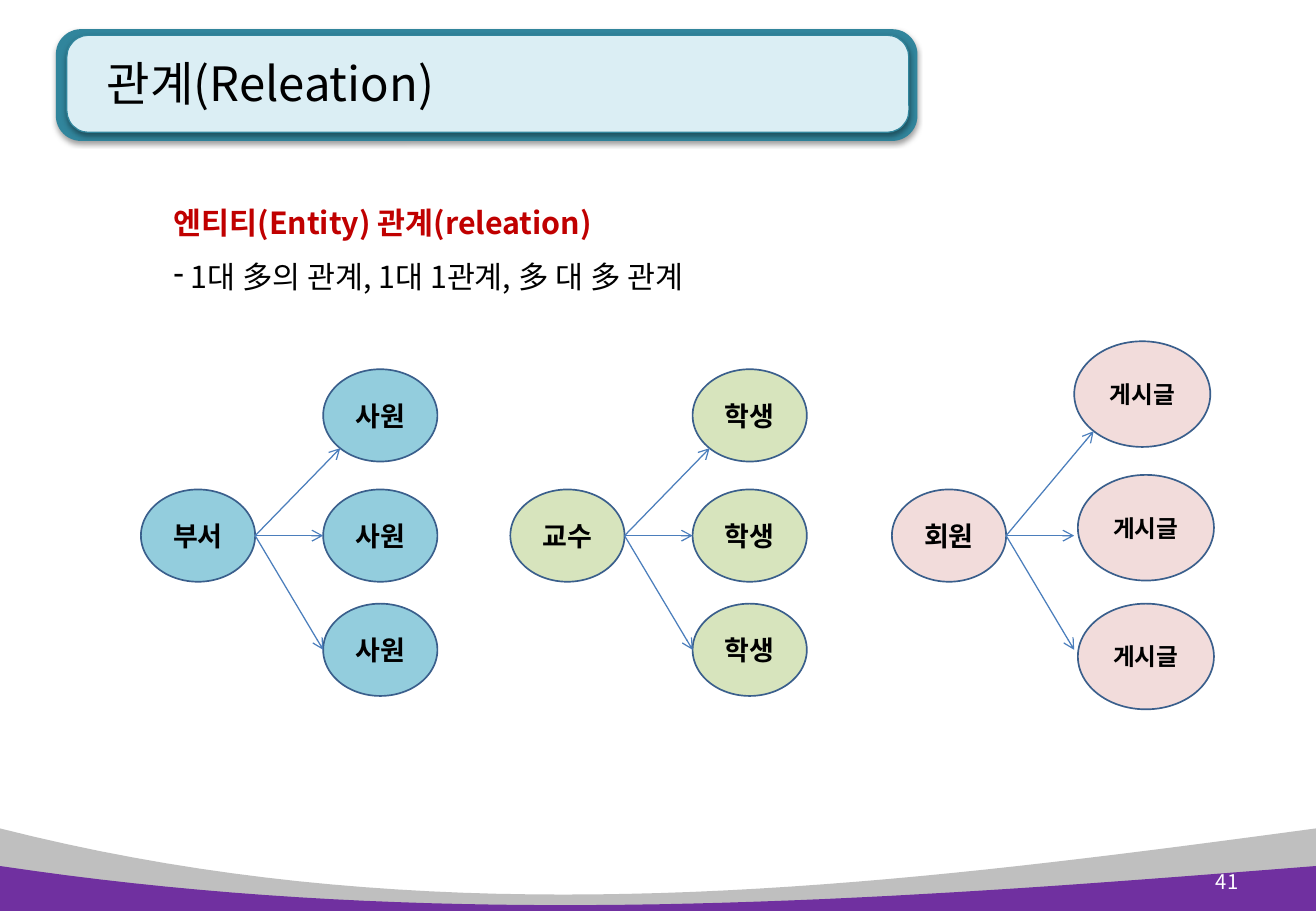
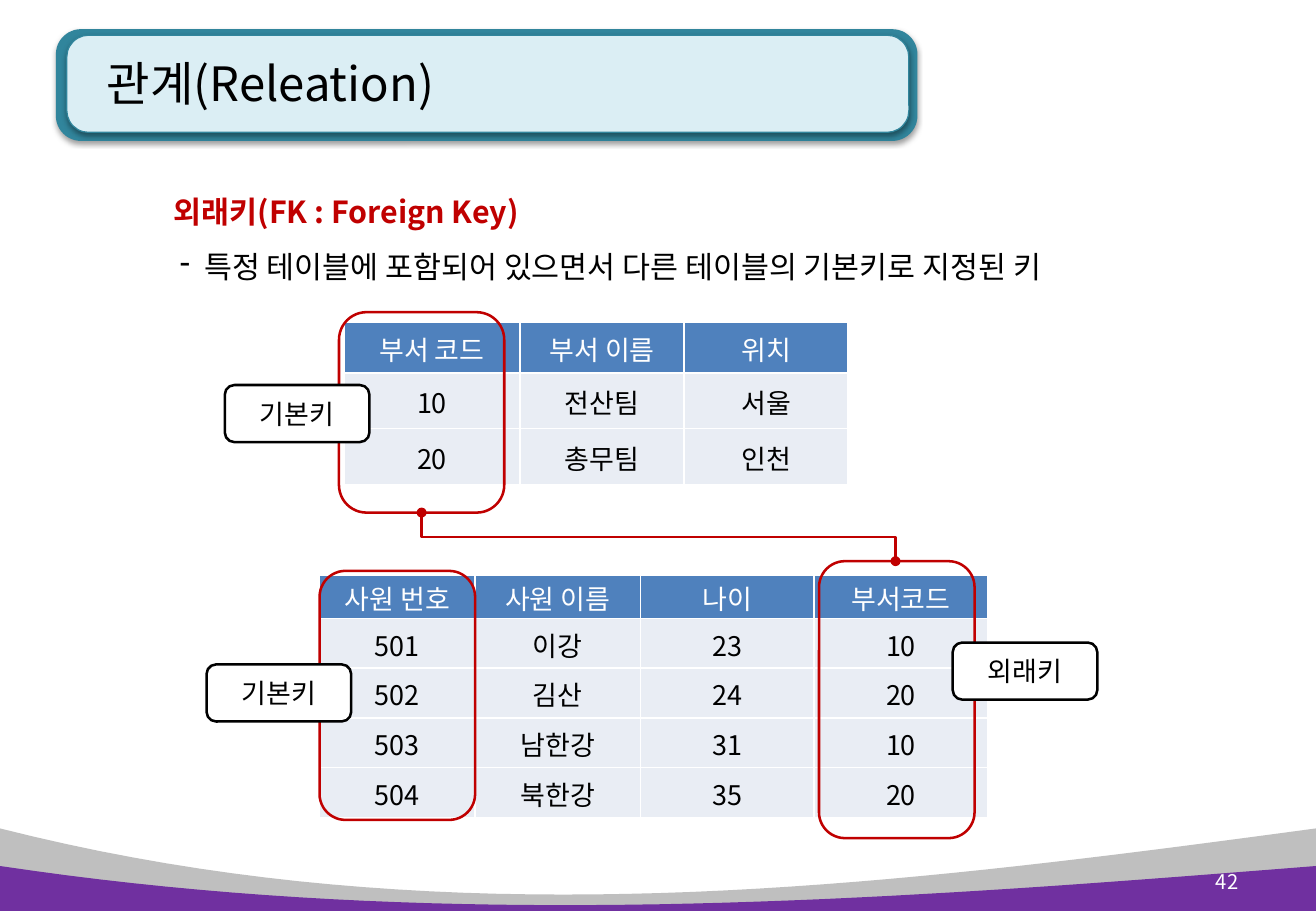
from dataclasses import dataclass

from lxml import etree
from pptx import Presentation
from pptx.dml.color import RGBColor
from pptx.enum.shapes import MSO_CONNECTOR, MSO_SHAPE
from pptx.enum.text import MSO_ANCHOR, PP_ALIGN
from pptx.oxml.ns import qn
from pptx.util import Emu, Pt

PX = 9144  # EMU per px, 100 px to the inch
WIDTH, HEIGHT = 1083, 750
ROUND, ELLIPSE = MSO_SHAPE.ROUNDED_RECTANGLE, MSO_SHAPE.OVAL
STRAIGHT, ELBOW = MSO_CONNECTOR.STRAIGHT, MSO_CONNECTOR.ELBOW
LEFT, CENTER, RIGHT = PP_ALIGN.LEFT, PP_ALIGN.CENTER, PP_ALIGN.RIGHT
TOP, MIDDLE = MSO_ANCHOR.TOP, MSO_ANCHOR.MIDDLE


@dataclass(frozen=True)
class Theme:
    font: str = "Noto Sans CJK KR"
    text: str = "000000"
    white: str = "FFFFFF"
    red: str = "C00000"
    teal: str = "31859C"
    pale_teal: str = "DBEEF4"
    gray: str = "BFBFBF"
    purple: str = "7030A0"
    blue: str = "93CDDD"
    green: str = "D7E4BD"
    pink: str = "F2DCDB"
    outline: str = "3A5F8C"
    arrow: str = "4B7EBC"
    header: str = "4F81BD"
    row: str = "E9EDF4"
    title_size: int = 28
    body_size: int = 18
    label_size: int = 16
    small_size: int = 14
    number_size: int = 12


THEME = Theme()


def px(value):
    return Emu(round(value * PX))


def rgb(color):
    return RGBColor.from_string(color)


def add_xml(parent, tag, **attributes):
    return etree.SubElement(parent, qn(tag), {k: str(v) for k, v in attributes.items()})


def write(para, text, size=THEME.label_size, color=THEME.text, bold=False,
          align=LEFT, spacing=None, dash=None):
    """Fill a paragraph; dash gives (dash position, text position) in px."""
    para.alignment = align
    if spacing:
        para.line_spacing = spacing
    if dash:
        start, hang = dash
        props = para._p.get_or_add_pPr()
        props.set("marL", str(px(hang)))
        props.set("indent", str(px(start - hang)))
        add_xml(props, "a:buChar", char="-")
    span = para.add_run()
    span.text = text
    span.font.size, span.font.bold = Pt(size), bold
    span.font.color.rgb = rgb(color)
    span.font.name = THEME.font
    add_xml(span._r.get_or_add_rPr(), "a:ea", typeface=THEME.font)


class Deck:
    def __init__(self):
        self.deck = Presentation()
        self.deck.slide_width, self.deck.slide_height = px(WIDTH), px(HEIGHT)
        self.page = None

    def new_page(self, title, number):
        """Start a slide with the shared waves, title band and page number."""
        self.page = self.deck.slides.add_slide(self.deck.slide_layouts[6])
        self.wave(682, 775, 731, THEME.gray)
        self.shape(ROUND, (46, 24, 709, 92), THEME.teal, radius=0.225, shadow=True)
        self.shape(ROUND, (55, 29, 693, 80), THEME.pale_teal, THEME.teal, 0.75,
                   radius=0.225, shadow=True)
        self.wave(713, 768, 742, THEME.purple)
        box = self.text_box((69, 21, 473, 94), inset=19, anchor=MIDDLE)
        write(box.paragraphs[0], title, size=THEME.title_size)
        box = self.text_box((968, 706, 61, 40), anchor=MIDDLE)
        write(box.paragraphs[0], str(number), size=THEME.number_size,
              color=THEME.white, align=RIGHT)

    def wave(self, edge, first_pull, second_pull, color, steps=40):
        """Footer wave: a cubic curve between two edges of equal height."""
        pulls = ((0, edge), (366, first_pull), (720, second_pull), (WIDTH, edge))
        points = []
        for step in range(steps + 1):
            t = step / steps
            weights = ((1 - t) ** 3, 3 * t * (1 - t) ** 2, 3 * t * t * (1 - t), t ** 3)
            points.append([px(sum(w * pull[axis] for w, pull in zip(weights, pulls)))
                           for axis in (0, 1)])
        corners = [(px(WIDTH), px(HEIGHT)), (0, px(HEIGHT))]
        builder = self.page.shapes.build_freeform(*points[0])
        builder.add_line_segments(points[1:] + corners, close=True)
        self.paint(builder.convert_to_shape(), color)

    def paint(self, shape, fill=None, line=None, weight=1):
        shape.shadow.inherit = False
        if fill:
            shape.fill.solid()
            shape.fill.fore_color.rgb = rgb(fill)
        else:
            shape.fill.background()
        if line:
            shape.line.color.rgb = rgb(line)
            shape.line.width = Pt(weight)
        else:
            shape.line.fill.background()

    def shape(self, kind, area, fill=None, line=None, weight=1, radius=None,
              shadow=False, label=None, **text_format):
        shape = self.page.shapes.add_shape(kind, *map(px, area))
        self.paint(shape, fill, line, weight)
        if radius:
            shape.adjustments[0] = radius
        if shadow:
            effects = shape.element.spPr.find(qn("a:effectLst"))
            outer = add_xml(effects, "a:outerShdw", blurRad=Pt(3.1), dist=Pt(1.6),
                            dir=5400000, rotWithShape=0)
            add_xml(add_xml(outer, "a:srgbClr", val="000000"), "a:alpha", val=38000)
        if label:
            frame = shape.text_frame
            frame.margin_left = frame.margin_right = 0
            frame.vertical_anchor = MIDDLE
            write(frame.paragraphs[0], label, align=CENTER, **text_format)
        return shape

    def text_box(self, area, inset=10, anchor=TOP):
        frame = self.page.shapes.add_textbox(*map(px, area)).text_frame
        frame.word_wrap = True
        frame.margin_left = px(inset)
        frame.vertical_anchor = anchor
        return frame

    def intro(self, area, heading, detail, dash):
        box = self.text_box(area, inset=27)
        write(box.paragraphs[0], heading, size=THEME.body_size, color=THEME.red,
              bold=True, spacing=1.5)
        write(box.add_paragraph(), detail, size=THEME.body_size, spacing=1.5, dash=dash)

    def connector(self, kind, start, end, color, weight, head=None, tail=None):
        line = self.page.shapes.add_connector(kind, *map(px, (*start, *end)))
        line.line.color.rgb = rgb(color)
        line.line.width = Pt(weight)
        outline = line.line._get_or_add_ln()
        for tag, mark in (("a:headEnd", head), ("a:tailEnd", tail)):
            if mark:
                add_xml(outline, tag, type=mark)
        add_xml(line.element.spPr, "a:effectLst")
        return line

    def key_link(self, start, end):
        """Elbow that leaves downwards: laid out on its side, then turned."""
        mid_x, mid_y = (start[0] + end[0]) // 2, (start[1] + end[1]) // 2
        half_x, half_y = (end[0] - start[0]) // 2, (end[1] - start[1]) // 2
        link = self.connector(ELBOW, (mid_x + half_y, mid_y - half_x),
                              (mid_x - half_y, mid_y + half_x),
                              THEME.red, 1.5, head="oval", tail="oval")
        link.element.spPr.find(qn("a:xfrm")).set("rot", "16200000")

    def table(self, left, top, widths, heights, rows):
        area = (left, top, sum(widths), sum(heights))
        table = self.page.shapes.add_table(len(rows), len(widths), *map(px, area)).table
        table.horz_banding = False
        for column, width in zip(table.columns, widths):
            column.width = px(width)
        for r, (height, values) in enumerate(zip(heights, rows)):
            table.rows[r].height = px(height)
            fill, color = ((THEME.row, THEME.text) if r
                           else (THEME.header, THEME.white))
            for c, value in enumerate(values):
                self.cell(table.cell(r, c), value, fill, color)

    def cell(self, cell, value, fill, color):
        cell.vertical_anchor = MIDDLE
        cell.margin_top, cell.margin_bottom = px(2), 0
        write(cell.text_frame.paragraphs[0], value, color=color, align=CENTER)
        props = cell._tc.get_or_add_tcPr()
        for side in ("a:lnL", "a:lnR", "a:lnT", "a:lnB"):
            border = add_xml(props, side, w=Pt(1))
            add_xml(add_xml(border, "a:solidFill"), "a:srgbClr", val=THEME.white)
        cell.fill.solid()
        cell.fill.fore_color.rgb = rgb(fill)

    def relation(self, left, hub, leaf, fill, size, leaves, label_size):
        """One hub ellipse with arrows to three leaf ellipses."""
        hub_width, hub_height, hub_top, reach = 94, 76, 403, 150
        node = {"fill": fill, "line": THEME.outline, "bold": True}
        self.shape(ELLIPSE, (left, hub_top, hub_width, hub_height), label=hub, **node)
        for shift, top in leaves:
            self.shape(ELLIPSE, (left + reach + shift, top, *size), label=leaf,
                       size=label_size, **node)
        # The first arrow meets the lower left of the top ellipse
        spoke, middle = left + reach, hub_top + hub_height // 2
        corner = (spoke + round(0.146 * size[0]), leaves[0][1] + round(0.854 * size[1]))
        for end in (corner, (spoke, middle), (spoke, 535)):
            self.connector(STRAIGHT, (left + hub_width, middle), end,
                           THEME.arrow, 0.75, tail="arrow")

    def key_frame(self, *area):
        self.shape(ROUND, area, line=THEME.red, weight=1.5)

    def key_label(self, left, top, label):
        self.shape(ROUND, (left, top, 119, 47), THEME.white, THEME.text, 1.5, label=label)


def relation_page(deck):
    deck.new_page("관계(Releation)", 41)
    deck.intro((116, 148, 606, 101), "엔티티(Entity) 관계(releation)",
               "1대 多의 관계, 1대 1관계, 多 대 多 관계", dash=(0, 14))
    small = ((94, 76), [(0, 304), (0, 403), (0, 497)], THEME.label_size)
    large = ((112, 87), [(0, 281), (3, 391), (3, 497)], THEME.small_size)
    for left, hub, leaf, fill, layout in (
            (116, "부서", "사원", THEME.blue, small),
            (420, "교수", "학생", THEME.green, small),
            (734, "회원", "게시글", THEME.pink, large)):
        deck.relation(left, hub, leaf, fill, *layout)


def foreign_key_page(deck):
    deck.new_page("관계(Releation)", 42)
    deck.intro((116, 139, 885, 101), "외래키(FK : Foreign Key)",
               "특정 테이블에 포함되어 있으면서 다른 테이블의 기본키로 지정된 키",
               dash=(5, 25))
    # Employee table with its primary and foreign key
    deck.table(263, 474, [128, 136, 143, 143], [35] + [41] * 4, [
        ("사원 번호", "사원 이름", "나이", "부서코드"),
        ("501", "이강", "23", "10"),
        ("502", "김산", "24", "20"),
        ("503", "남한강", "31", "10"),
        ("504", "북한강", "35", "20"),
    ])
    deck.key_frame(674, 462, 128, 228)
    deck.key_frame(263, 470, 128, 205)
    # Department table with its primary key
    deck.table(283, 265, [145, 135, 135], [42, 46, 46], [
        ("부서 코드", "부서 이름", "위치"),
        ("10", "전산팀", "서울"),
        ("20", "총무팀", "인천"),
    ])
    deck.key_frame(279, 257, 136, 165)
    # Key names and the link between the two tables
    for left, top, label in ((784, 529, "외래키"), (185, 317, "기본키"),
                             (170, 547, "기본키")):
        deck.key_label(left, top, label)
    deck.key_link((347, 422), (738, 462))


def main():
    deck = Deck()
    relation_page(deck)
    foreign_key_page(deck)
    deck.deck.save("out.pptx")


if __name__ == "__main__":
    main()
